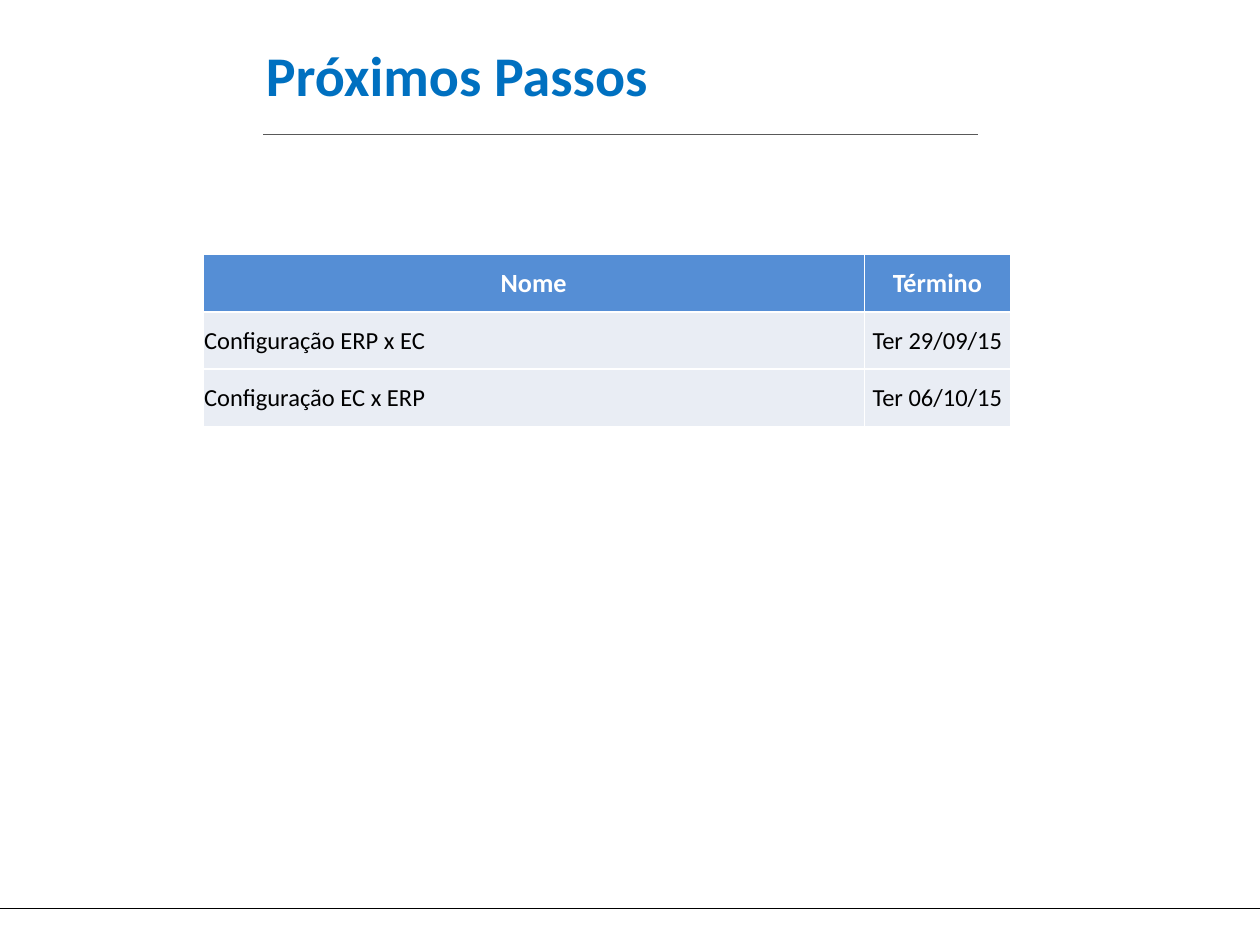
from dataclasses import dataclass

from lxml.etree import SubElement
from pptx import Presentation
from pptx.dml.color import RGBColor
from pptx.enum.shapes import MSO_CONNECTOR
from pptx.enum.text import MSO_ANCHOR, PP_ALIGN
from pptx.oxml.ns import qn
from pptx.slide import Slide
from pptx.table import _Cell
from pptx.text.text import _Paragraph
from pptx.util import Inches, Pt


@dataclass(frozen=True)
class Theme:
    font: str = "Calibri"
    title: str = "0070C0"
    header_fill: str = "558ED5"
    header_text: str = "FFFFFF"
    body_fill: str = "E9EDF4"
    body_text: str = "000000"
    border: str = "FFFFFF"
    title_rule: str = "595959"
    footer_rule: str = "000000"
    title_size: float = 32
    header_size: float = 15
    body_size: float = 14


@dataclass(frozen=True)
class Rule:
    left: float
    right: float
    y: float
    color: str
    weight: float


@dataclass(frozen=True)
class Step:
    name: str
    due: str


THEME = Theme()
RULES = [
    Rule(0, 10, 7.21, THEME.footer_rule, 0.75),
    Rule(2.09, 7.76, 1.07, THEME.title_rule, 0.5),
]
HEADER = Step("Nome", "Término")
STEPS = [
    Step("Configuração ERP x EC", "Ter 29/09/15"),
    Step("Configuração EC x ERP", "Ter 06/10/15"),
]
COLUMN_WIDTHS = [5.25, 1.16]
ROW_HEIGHT = 0.455


def add_run(paragraph: _Paragraph, text: str, size: float, color: str, bold: bool) -> None:
    run = paragraph.add_run()
    run.text = text
    run.font.name = THEME.font
    run.font.size = Pt(size)
    run.font.bold = bold
    run.font.color.rgb = RGBColor.from_string(color)


def draw_rule(slide: Slide, rule: Rule) -> None:
    connector = slide.shapes.add_connector(
        MSO_CONNECTOR.STRAIGHT,
        Inches(rule.left), Inches(rule.y), Inches(rule.right), Inches(rule.y),
    )
    connector.line.color.rgb = RGBColor.from_string(rule.color)
    connector.line.width = Pt(rule.weight)
    SubElement(connector._element.spPr, qn("a:effectLst"))


def draw_title(slide: Slide, text: str) -> None:
    title = slide.shapes.title
    title.left, title.top = Inches(2.01), Inches(0.15)
    title.width, title.height = Inches(6.17), Inches(0.87)
    title.text_frame.vertical_anchor = MSO_ANCHOR.MIDDLE
    paragraph = title.text_frame.paragraphs[0]
    paragraph.alignment = PP_ALIGN.LEFT
    add_run(paragraph, text, THEME.title_size, THEME.title, True)


def set_borders(cell: _Cell) -> None:
    properties = cell._tc.get_or_add_tcPr()
    for position, side in enumerate(("lnL", "lnR", "lnT", "lnB")):
        border = SubElement(properties, qn(f"a:{side}"), w=str(Pt(1)))
        fill = SubElement(border, qn("a:solidFill"))
        SubElement(fill, qn("a:srgbClr"), val=THEME.border)
        properties.insert(position, border)


def fill_cell(cell: _Cell, text: str, is_header: bool, centered: bool) -> None:
    cell.fill.solid()
    cell.fill.fore_color.rgb = RGBColor.from_string(
        THEME.header_fill if is_header else THEME.body_fill
    )
    set_borders(cell)
    cell.vertical_anchor = MSO_ANCHOR.MIDDLE
    cell.margin_left = cell.margin_right = cell.margin_top = Inches(0.01)
    cell.margin_bottom = 0
    paragraph = cell.text_frame.paragraphs[0]
    paragraph.alignment = PP_ALIGN.CENTER if centered else PP_ALIGN.LEFT
    size = THEME.header_size if is_header else THEME.body_size
    color = THEME.header_text if is_header else THEME.body_text
    add_run(paragraph, text, size, color, is_header)


def draw_steps(slide: Slide, steps: list[Step]) -> None:
    rows = [HEADER, *steps]
    table = slide.shapes.add_table(
        len(rows), len(COLUMN_WIDTHS), Inches(1.61), Inches(2.02),
        Inches(sum(COLUMN_WIDTHS)), Inches(ROW_HEIGHT * len(rows)),
    ).table
    for column, width in zip(table.columns, COLUMN_WIDTHS):
        column.width = Inches(width)
    for index, step in enumerate(rows):
        is_header = index == 0
        table.rows[index].height = Inches(ROW_HEIGHT)
        fill_cell(table.cell(index, 0), step.name, is_header, is_header)
        fill_cell(table.cell(index, 1), step.due, is_header, True)


def main() -> None:
    presentation = Presentation()
    presentation.slide_width = Inches(10)
    presentation.slide_height = Inches(7.5)
    slide = presentation.slides.add_slide(presentation.slide_layouts[5])
    for rule in RULES:
        draw_rule(slide, rule)
    draw_title(slide, "Próximos Passos")
    draw_steps(slide, STEPS)
    presentation.save("out.pptx")


if __name__ == "__main__":
    main()
